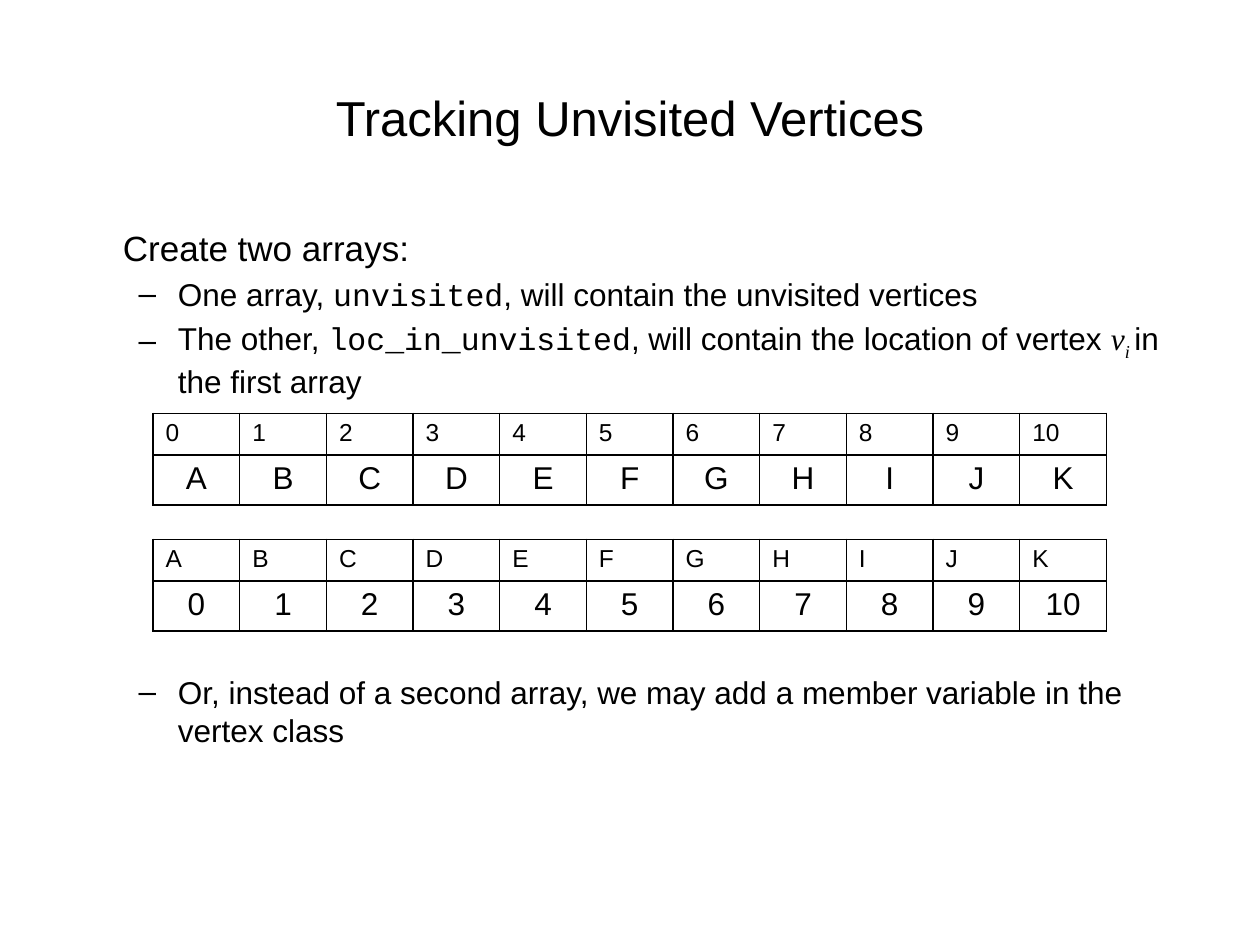
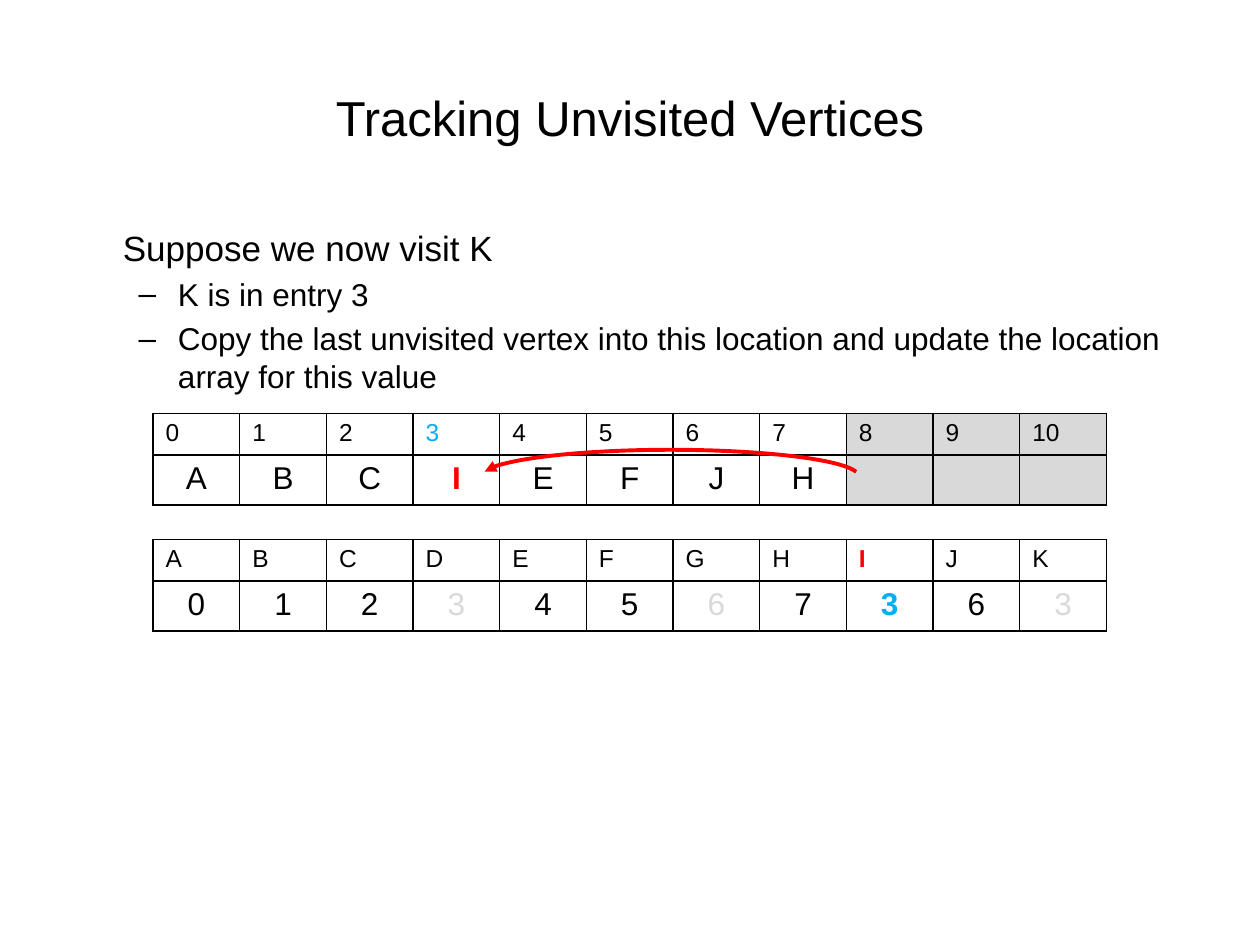
from pptx import Presentation
from pptx.dml.color import RGBColor
from pptx.enum.shapes import MSO_SHAPE as SHAPE
from pptx.enum.text import MSO_AUTO_SIZE as FIT, PP_ALIGN as ALIGN
from pptx.oxml import parse_xml
from pptx.oxml.ns import nsdecls
from pptx.util import Inches, Pt

BLACK = RGBColor(0x00, 0x00, 0x00)
RED = RGBColor(0xFF, 0x00, 0x00)
BLUE = RGBColor(0x00, 0xB0, 0xF0)
GRAY = RGBColor(0xD9, 0xD9, 0xD9)
SANS, MONO, MATH = "Arial", "Courier New", "Times New Roman"

prs = Presentation()
prs.slide_width, prs.slide_height = Inches(10), Inches(7.5)
W, H = prs.slide_width, prs.slide_height

COLS = 11
COL_W = Inches(7.57 / COLS)
LEFT = (W - COLS * COL_W) // 2
ROW_H = [Inches(0.33), Inches(0.4)]
ARRAY_TOP = Inches(3.28)
ARRAY_STEP = Inches(1)


def add_text_slide(heading, bullets):
    s = prs.slides.add_slide(prs.slide_layouts[1])
    title, body = s.shapes.title, s.placeholders[1]
    title.left, title.top, title.width, title.height = int(W * 0.05), int(H * 0.04), int(W * 0.9), Inches(1.25)
    body.left, body.top, body.width, body.height = int(W * 0.05), Inches(1.75), int(W * 0.9), int(H * 0.66)
    title.text_frame.text = "Tracking Unvisited Vertices"
    p = title.text_frame.paragraphs[0]
    p.alignment = ALIGN.CENTER
    p.font.size, p.font.name, p.font.color.rgb = Pt(28), SANS, BLACK
    tf = body.text_frame
    tf.auto_size = FIT.NONE
    for i, runs in enumerate([[(heading, SANS)]] + bullets):
        p = tf.paragraphs[0] if i == 0 else tf.add_paragraph()
        p.level = min(i, 1)
        p.font.size, p.font.color.rgb = Pt(18 if i else 20), BLACK
        if i == 0:
            pPr = p._p.get_or_add_pPr()
            pPr.set("marL", str(Inches(0.375)))
            pPr.set("indent", "0")
            pPr.insert(0, parse_xml(f"<a:buNone {nsdecls('a')}/>"))
        for text, face in runs:
            r = p.add_run()
            r.text, r.font.name = text, face
            if face == MATH:
                r.font.italic = True
                if text == "i ":
                    r.font._element.set("baseline", "-25000")
    return s


def add_array(s, index, rows, marks, unused):
    table = s.shapes.add_table(2, COLS, LEFT, ARRAY_TOP + index * ARRAY_STEP, COLS * COL_W, sum(ROW_H)).table
    table.first_row = table.horz_banding = False
    for col in table.columns:
        col.width = COL_W
    for y, values in enumerate(rows):
        table.rows[y].height = ROW_H[y]
        for x, value in enumerate(values):
            cell = table.cell(y, x)
            tcPr = cell._tc.get_or_add_tcPr()
            for side in ("lnL", "lnR", "lnT", "lnB"):
                tcPr.append(parse_xml(
                    f'<a:{side} {nsdecls("a")} w="{Pt(1)}"><a:solidFill>'
                    f'<a:srgbClr val="{BLACK}"/></a:solidFill></a:{side}>'))
            if x in unused:
                cell.fill.solid()
                cell.fill.fore_color.rgb = GRAY
            else:
                cell.fill.background()
            cell.text = value
            p = cell.text_frame.paragraphs[0]
            p.alignment = ALIGN.CENTER if y else ALIGN.LEFT
            p.font.size, p.font.name = Pt(18 if y else 14), SANS
            p.font.color.rgb = marks.get((y, x), BLACK)
            p.font.bold = (y, x) in marks and marks[y, x] != GRAY and (y, x) != (0, 3)


indices = [str(n) for n in range(COLS)]
vertices = list("ABCDEFGHIJK")

s = add_text_slide("Create two arrays:", [
    [("One array, ", SANS), ("unvisited", MONO), (", will contain the unvisited vertices", SANS)],
    [("The other, ", SANS), ("loc_in_unvisited", MONO), (", will contain the location of vertex ", SANS),
     ("v", MATH), ("i ", MATH), ("in the first array", SANS)],
    [("Or, instead of a second array, we may add a member variable in the vertex class", SANS)],
])
s.placeholders[1].text_frame.paragraphs[-1].space_before = Pt(156)
add_array(s, 0, [indices, vertices], {}, [])
add_array(s, 1, [vertices, indices], {}, [])

s = add_text_slide("Suppose we now visit K", [
    [("K is in entry 3", SANS)],
    [("Copy the last unvisited vertex into this location and update the location array for this value", SANS)],
])
unvisited = list("ABCIEFJH") + [""] * 3
locations = list("01234567363")
add_array(s, 0, [indices, unvisited], {(0, 3): BLUE, (1, 3): RED}, range(8, COLS))
add_array(s, 1, [vertices, locations],
          {(0, 8): RED, (1, 8): BLUE, (1, 3): GRAY, (1, 6): GRAY, (1, 10): GRAY}, [])

sp = s.shapes.add_shape(SHAPE.ARC, LEFT + int(3.79 * COL_W), ARRAY_TOP + Inches(0.29),
                        int(4.35 * COL_W), Inches(0.42))
sp.adjustments[0], sp.adjustments[1] = 108.87, 215.18
sp.shadow.inherit = False
sp.fill.background()
sp.line.color.rgb, sp.line.width = RED, Pt(2.25)
sp.line._get_or_add_ln().append(parse_xml(f'<a:headEnd {nsdecls("a")} type="triangle"/>'))

prs.save("out.pptx")
